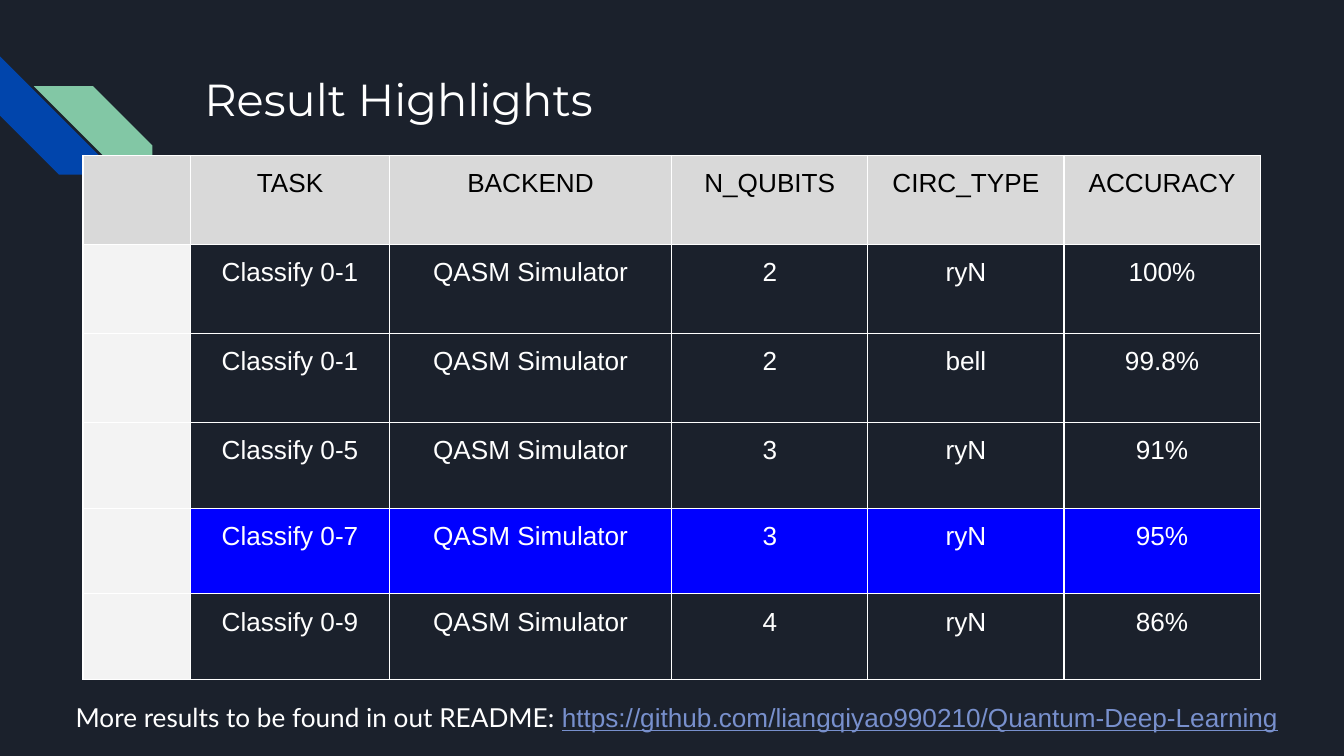
from lxml.etree import SubElement
from pptx import Presentation
from pptx.dml.color import RGBColor
from pptx.enum.shapes import MSO_SHAPE
from pptx.enum.text import MSO_ANCHOR, PP_ALIGN
from pptx.oxml.ns import qn
from pptx.util import Pt

COLORS = {
    "background": "1B212C",
    "blue": "0145AC",
    "green": "82C7A5",
    "white": "FFFFFF",
    "black": "000000",
    "header": "D9D9D9",
    "side": "F3F3F3",
    "highlight": "0000FF",
    "link": "7890CD",
}
INSET = Pt(7.2)
COLUMN_WIDTHS = [57.6, 106.6, 151.2, 105.1, 105.1, 105.1]
ROW_HEIGHTS = [47.7] * 3 + [45.9] * 3
HIGHLIGHT_ROW = 4
RESULTS = [
    ["", "TASK", "BACKEND", "N_QUBITS", "CIRC_TYPE", "ACCURACY"],
    ["", "Classify 0-1", "QASM Simulator", "2", "ryN", "100%"],
    ["", "Classify 0-1", "QASM Simulator", "2", "bell", "99.8%"],
    ["", "Classify 0-5", "QASM Simulator", "3", "ryN", "91%"],
    ["", "Classify 0-7", "QASM Simulator", "3", "ryN", "95%"],
    ["", "Classify 0-9", "QASM Simulator", "4", "ryN", "86%"],
]


def rgb(name):
    return RGBColor.from_string(COLORS[name])


def add_run(p, text, size, font, color, underline=None):
    r = p.add_run()
    r.text = text
    r.font.size = Pt(size)
    r.font.name = font
    r.font.color.rgb = rgb(color)
    r.font.underline = underline


def set_insets(target):
    """Apply the common margin to a text frame or a table cell."""
    target.margin_left = target.margin_right = INSET
    target.margin_top = target.margin_bottom = INSET


def add_text(s, x, y, w, h, runs):
    tf = s.shapes.add_textbox(Pt(x), Pt(y), Pt(w), Pt(h)).text_frame
    tf.word_wrap = True
    tf.vertical_anchor = MSO_ANCHOR.TOP
    set_insets(tf)
    for run in runs:
        add_run(tf.paragraphs[0], *run)


def add_stripe(s, x, y, color, rotation=0, flip=False):
    sp = s.shapes.add_shape(MSO_SHAPE.DIAGONAL_STRIPE, Pt(x), Pt(y), Pt(63.4), Pt(63.4))
    sp.adjustments[0] = 0.5
    sp.rotation = rotation
    if flip:
        sp.element.spPr.find(qn("a:xfrm")).set("flipH", "1")
    sp.shadow.inherit = False
    sp.fill.solid()
    sp.fill.fore_color.rgb = rgb(color)
    sp.line.fill.background()


def add_borders(cell):
    tc_pr = cell._tc.get_or_add_tcPr()
    for side in ("lnL", "lnR", "lnT", "lnB"):
        ln = SubElement(tc_pr, qn(f"a:{side}"), w=str(Pt(0.75)))
        fill = SubElement(ln, qn("a:solidFill"))
        SubElement(fill, qn("a:srgbClr"), val=COLORS["white"])


def cell_fill(row, col):
    if row == 0:
        return "header"
    if col == 0:
        return "side"
    return "highlight" if row == HIGHLIGHT_ROW else None


def format_cell(cell, text, fill, color):
    set_insets(cell)
    add_borders(cell)
    if fill:
        cell.fill.solid()
        cell.fill.fore_color.rgb = rgb(fill)
    else:
        cell.fill.background()
    if text:
        p = cell.text_frame.paragraphs[0]
        p.alignment = PP_ALIGN.CENTER
        add_run(p, text, 14, "Arial", color)


def add_results_table(s, x, y):
    table = s.shapes.add_table(
        len(ROW_HEIGHTS), len(COLUMN_WIDTHS), Pt(x), Pt(y),
        Pt(sum(COLUMN_WIDTHS)), Pt(sum(ROW_HEIGHTS)),
    ).table
    table.first_row = table.horz_banding = False
    for column, width in zip(table.columns, COLUMN_WIDTHS):
        column.width = Pt(width)
    for i, (row, height) in enumerate(zip(table.rows, ROW_HEIGHTS)):
        row.height = Pt(height)
        color = "white" if i else "black"
        for j, text in enumerate(RESULTS[i]):
            format_cell(table.cell(i, j), text, cell_fill(i, j), color)


def main():
    prs = Presentation()
    prs.slide_width, prs.slide_height = Pt(720), Pt(405)
    s = prs.slides.add_slide(prs.slide_layouts[6])
    s.background.fill.solid()
    s.background.fill.fore_color.rgb = rgb("background")

    add_stripe(s, 0, 30.2, "blue", rotation=270)
    add_stripe(s, 18.2, 46.2, "green", flip=True)
    add_text(s, 102.4, 31, 554.4, 52.6,
             [("Result Highlights", 24, "Montserrat", "white")])
    add_results_table(s, 44.5, 83.3)
    add_text(s, 33.4, 368.6, 715.7, 28.1, [
        ("More results to be found in out README: ", 14, "Lato", "white"),
        ("https://github.com/liangqiyao990210/Quantum-Deep-Learning",
         14, "Arial", "link", True),
    ])
    prs.save("out.pptx")


if __name__ == "__main__":
    main()
